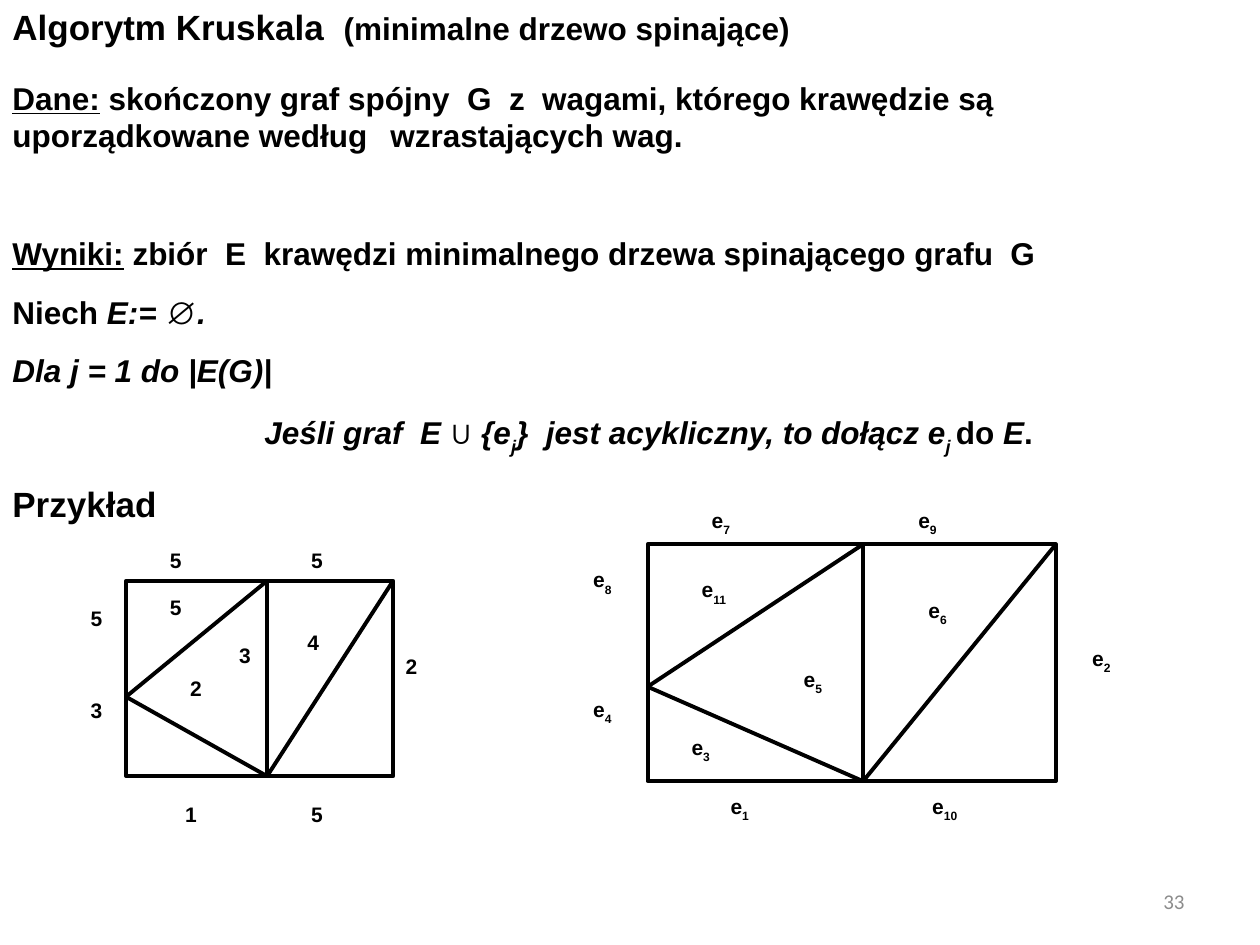
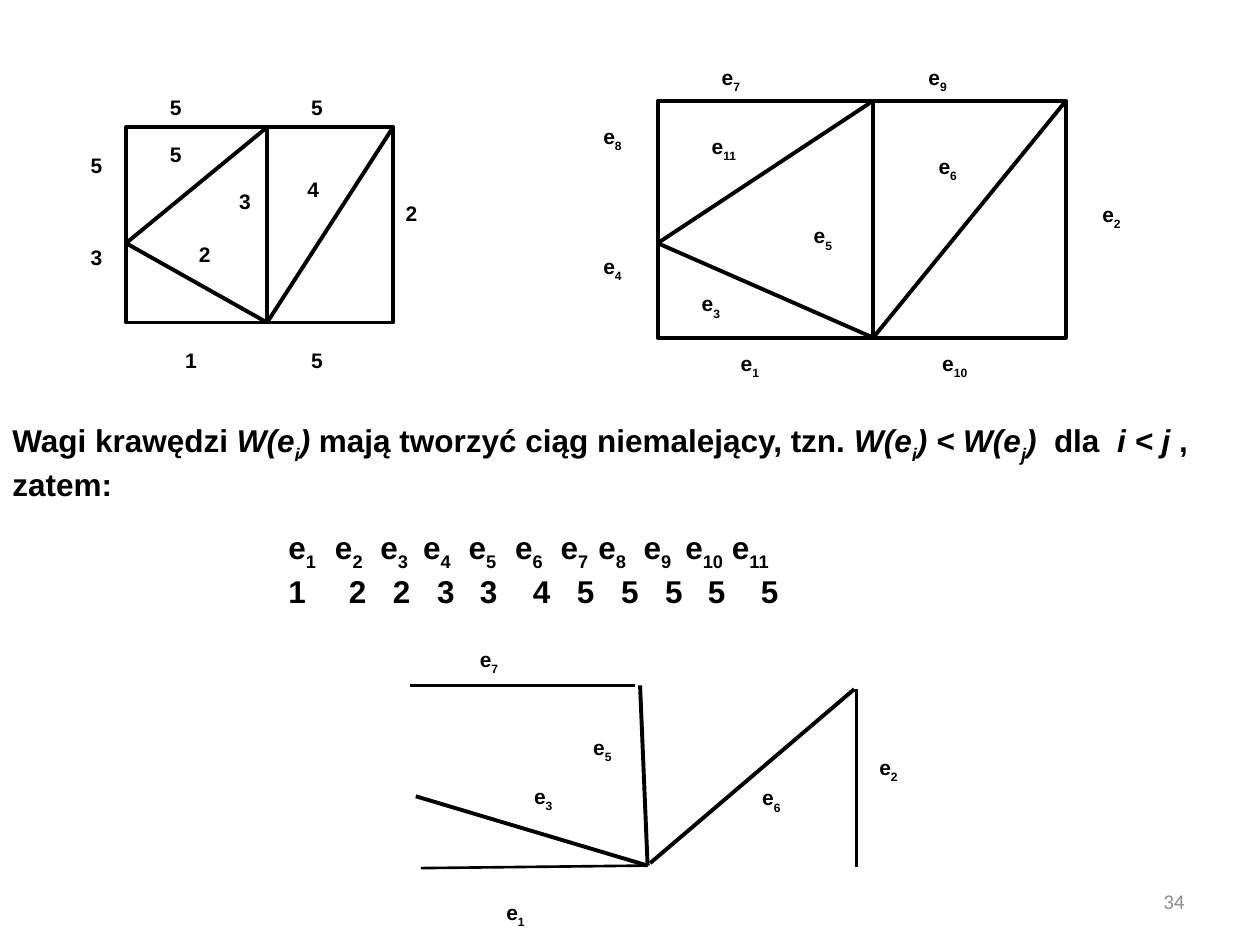
from dataclasses import dataclass

from lxml import etree
from pptx import Presentation
from pptx.dml.color import RGBColor
from pptx.enum.shapes import MSO_CONNECTOR, MSO_SHAPE
from pptx.enum.text import MSO_ANCHOR, PP_ALIGN
from pptx.oxml.ns import qn
from pptx.util import Inches, Pt

STRAIGHT = MSO_CONNECTOR.STRAIGHT
RECTANGLE = MSO_SHAPE.RECTANGLE
TOP, MIDDLE = MSO_ANCHOR.TOP, MSO_ANCHOR.MIDDLE
LEFT, RIGHT = PP_ALIGN.LEFT, PP_ALIGN.RIGHT

BLACK = RGBColor(0, 0, 0)
WHITE = RGBColor(0xFF, 0xFF, 0xFF)
GRAY = RGBColor(0x8C, 0x8C, 0x8C)

COLUMNS, ROWS = 10, 7.5  # the slide's grid
BODY_SIZE, HEADING_SIZE, LABEL_SIZE = 18, 20, 12
SUBSCRIPT = -30000
EDGE_WIDTH, THIN_WIDTH = 2.25, 1.5


def cells(*counts):
    """Turn grid counts into lengths; one cell is an inch."""
    return [Inches(count) for count in counts]


@dataclass
class Graph:
    """Rectangle with a middle line and three diagonals.

    Labels are (text, x, y, width), measured from the top left corner.
    """
    width: float
    height: float
    split: float
    left_node: float
    outer_labels: list
    inner_labels: list


WEIGHTS = Graph(
    2.12, 1.55, 1.12, 0.92,
    [("5", 0.25, -0.31, 0.5), ("5", 1.37, -0.31, 0.38),
     ("5", -0.38, 0.15, 0.38), ("3", -0.38, 0.88, 0.38),
     ("2", 2.12, 0.53, 0.38),
     ("1", 0.37, 1.7, 0.38), ("5", 1.37, 1.7, 0.38)],
    [("5", 0.25, 0.06, 0.38), ("3", 0.8, 0.44, 0.23), ("4", 1.34, 0.34, 0.25)])

EDGE_NAMES = Graph(
    3.24, 1.88, 1.71, 1.13,
    [("e7", 0.41, -0.34, 0.76), ("e9", 2.05, -0.34, 0.57),
     ("e8", -0.53, 0.13, 0.47), ("e4", -0.53, 1.16, 0.47),
     ("e2", 3.43, 0.75, 0.57),
     ("e1", 0.56, 1.93, 0.5), ("e10", 2.16, 1.93, 0.5)],
    [("e5", 1.14, 0.92, 0.48), ("e6", 2.13, 0.37, 0.39),
     ("e3", 0.25, 1.46, 0.39), ("e11", 0.33, 0.21, 0.45)])

TREE_LABELS = [("e7", 3.71, 5.08, 0.81), ("e5", 4.61, 5.78, 0.39),
               ("e3", 4.14, 6.17, 0.47), ("e6", 5.95, 6.18, 0.61),
               ("e2", 6.88, 5.94, 0.38), ("e1", 3.92, 7.09, 2.24)]
TREE_EDGES = [((5.08, 5.44), (5.14, 6.87), EDGE_WIDTH),
              ((3.3, 6.32), (5.14, 6.87), EDGE_WIDTH),
              ((6.78, 5.47), (5.16, 6.85), EDGE_WIDTH),
              ((3.34, 6.89), (5.14, 6.87), THIN_WIDTH),
              ((5.04, 5.44), (3.25, 5.44), 2),
              ((6.8, 5.47), (6.8, 6.88), THIN_WIDTH)]

EDGE_WEIGHTS = [1, 2, 2, 3, 3, 4, 5, 5, 5, 5, 5]
NAME_STOPS = [0.37, 0.73, 1.07, 1.43, 1.8, 2.16, 2.46, 2.82, 3.15, 3.52]
WEIGHT_STOPS = [0.48, 0.83, 1.18, 1.52, 1.94, 2.29, 2.64, 2.99, 3.33, 3.75]


def add_text(page, at, anchor=TOP):
    frame = page.shapes.add_textbox(*cells(*at)).text_frame
    frame.word_wrap = True
    frame.vertical_anchor = anchor
    return frame


def write(para, spans, size=BODY_SIZE, font="Arial", color=BLACK, bold=True,
          align=LEFT):
    """Write (text, marks) spans; marks are i(talic), u(nderline), s(ubscript)."""
    para.alignment = align
    para.font.name = font
    para.font.size = Pt(size)
    para.font.bold = bold
    para.font.color.rgb = color
    for text, marks in spans:
        span = para.add_run()
        span.text = text
        if "i" in marks:
            span.font.italic = True
        if "u" in marks:
            span.font.underline = True
        if "s" in marks:
            span.font._element.set("baseline", str(SUBSCRIPT))


def name_spans(name):
    """Split an edge name such as e10 into a letter and a subscript."""
    return [("e", ""), (name[1:], "s")] if name.startswith("e") else [(name, "")]


def set_tab_stops(para, stops):
    tabs = etree.SubElement(para._p.get_or_add_pPr(), qn("a:tabLst"))
    for stop in stops:
        etree.SubElement(tabs, qn("a:tab"), pos=str(Inches(stop)), algn="l")


def add_label(page, name, left, top, width):
    box = page.shapes.add_textbox(*cells(left, top, width, 0.31))
    box.fill.solid()
    box.fill.fore_color.rgb = WHITE
    box.text_frame.word_wrap = True
    write(box.text_frame.paragraphs[0], name_spans(name), LABEL_SIZE)


def add_edge(page, start, end, width=EDGE_WIDTH):
    edge = page.shapes.add_connector(STRAIGHT, *cells(*start, *end))
    edge.line.color.rgb = BLACK
    edge.line.width = Pt(width)
    etree.SubElement(edge._element.spPr, qn("a:effectLst"))


def add_graph(page, graph, left, top, extra_labels=()):
    def add_labels(labels):
        for name, x, y, width in labels:
            add_label(page, name, left + x, top + y, width)

    add_labels(graph.outer_labels)
    frame = page.shapes.add_shape(
        RECTANGLE, *cells(left, top, graph.width, graph.height))
    frame.shadow.inherit = False
    frame.fill.solid()
    frame.fill.fore_color.rgb = WHITE
    frame.line.color.rgb = BLACK
    frame.line.width = Pt(EDGE_WIDTH)

    top_node = (left + graph.split, top)
    bottom_node = (left + graph.split, top + graph.height)
    left_node = (left, top + graph.left_node)
    corner = (left + graph.width, top)
    for start, end in [(top_node, bottom_node), (top_node, left_node),
                       (left_node, bottom_node), (corner, bottom_node)]:
        add_edge(page, start, end)
    add_labels([*graph.inner_labels, *extra_labels])


def add_page_number(page, number):
    frame = add_text(page, (7.17, 6.95, 2.33, 0.4), MIDDLE)
    write(frame.paragraphs[0], [(str(number), "")], LABEL_SIZE, "Calibri",
          GRAY, False, RIGHT)


def add_algorithm(page):
    frame = add_text(page, (0, 0, 9.69, 3.7))
    frame.margin_top, frame.margin_right = cells(0.04, -0.2)
    title = frame.paragraphs[0]
    write(title, [("Algorytm Kruskala  ", ""),
                  ("(minimalne drzewo spinające)", "")], HEADING_SIZE)
    title.runs[1].font.size = Pt(BODY_SIZE)

    # (space before, line spacing, left indent, spans)
    steps = [
        (18, 1, 0, [("Dane:", "u"),
                    (" skończony graf spójny  G  z  wagami, którego krawędzie są  "
                     "uporządkowane według \twzrastających wag.", "")]),
        (35, 1.5, 0, [("Wyniki:", "u"),
                      (" zbiór  E  krawędzi minimalnego drzewa spinającego grafu  G", "")]),
        (1, 1.5, 0, [("Niech ", ""), ("E:= ∅.", "i")]),
        (1, 1.5, 0, [("Dla j = 1 do |E(G)|", "i")]),
        (1, 1.5, 2, [("Jeśli graf  E ∪ {e", "i"), ("j", "is"),
                     ("}  jest acykliczny, to dołącz e", "i"), ("j ", "is"),
                     ("do", ""), (" E", "i"), (".", "")]),
    ]
    for space, spacing, indent, spans in steps:
        para = frame.add_paragraph()
        write(para, spans)
        para.space_before = Pt(space)
        para.line_spacing = spacing
        para._p.get_or_add_pPr().set("marL", str(Inches(indent)))


def add_weight_order(page):
    frame = add_text(page, (0, 3.29, COLUMNS, 1))
    write(frame.paragraphs[0], [
        ("Wagi krawędzi ", ""), ("W(e", "i"), ("i", "is"), (")", "i"),
        (" mają tworzyć ciąg niemalejący, tzn. ", ""),
        ("W(e", "i"), ("i", "is"), (") < W(e", "i"), ("j", "is"), (")", "i"),
        ("  dla  ", ""), ("i < j ", "i"), (", zatem:", "")])

    frame = add_text(page, (2.19, 4.14, 5.31, 0.71))
    names, weights = frame.paragraphs[0], frame.add_paragraph()
    spans = []
    for number in range(1, len(EDGE_WEIGHTS) + 1):
        letter, index = name_spans(f"e{number}")
        spans += [("\te" if spans else "e", ""), index]
    write(names, spans)
    write(weights, [("\t".join(map(str, EDGE_WEIGHTS)), "")])
    set_tab_stops(names, NAME_STOPS)
    set_tab_stops(weights, WEIGHT_STOPS)


def add_spanning_tree(page):
    for label in TREE_LABELS:
        add_label(page, *label)
    for edge in TREE_EDGES:
        add_edge(page, *edge)


def main():
    deck = Presentation()
    deck.slide_width, deck.slide_height = cells(COLUMNS, ROWS)
    blank = deck.slide_layouts[6]

    page = deck.slides.add_slide(blank)
    add_algorithm(page)
    example = add_text(page, (0, 3.78, 1.6, 0.4))
    write(example.paragraphs[0], [("Przykład", "")], HEADING_SIZE)
    add_graph(page, WEIGHTS, 1, 4.61, [("2", 0.41, 0.7, 0.38)])
    add_graph(page, EDGE_NAMES, 5.14, 4.32)
    add_page_number(page, 33)

    page = deck.slides.add_slide(blank)
    add_graph(page, WEIGHTS, 1, 1.01, [("2", 0.48, 0.86, 0.38)])
    add_graph(page, EDGE_NAMES, 5.22, 0.8)
    add_weight_order(page)
    add_spanning_tree(page)
    add_page_number(page, 34)

    deck.save("out.pptx")


if __name__ == "__main__":
    main()
